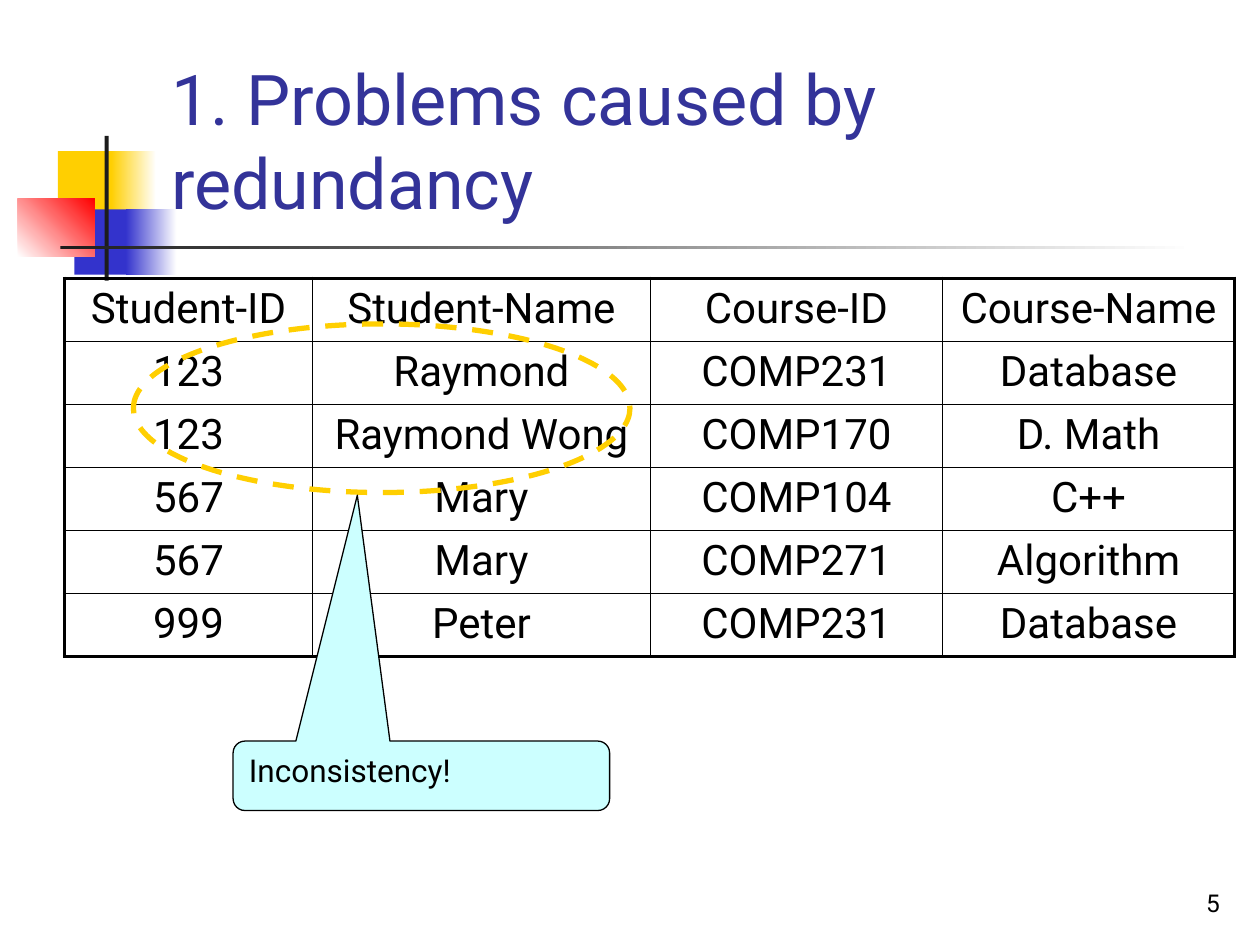
from lxml import etree
from pptx import Presentation
from pptx.dml.color import RGBColor
from pptx.enum.dml import MSO_LINE
from pptx.enum.shapes import MSO_SHAPE
from pptx.enum.text import MSO_ANCHOR, PP_ALIGN
from pptx.oxml.ns import qn
from pptx.util import Cm, Pt

RECT = MSO_SHAPE.RECTANGLE
ELLIPSE = MSO_SHAPE.OVAL
CALLOUT = MSO_SHAPE.ROUNDED_RECTANGULAR_CALLOUT
DASH = MSO_LINE.DASH
TOP, BOTTOM = MSO_ANCHOR.TOP, MSO_ANCHOR.BOTTOM
LEFT, CENTER, RIGHT = PP_ALIGN.LEFT, PP_ALIGN.CENTER, PP_ALIGN.RIGHT

FONT = "Roboto"
BLACK, WHITE, DARK = "000000", "FFFFFF", "1C1C1C"
YELLOW, BLUE, RED = "FFCF01", "3333CC", "FF0000"
TITLE_BLUE, PALE_CYAN = "333399", "CCFFFF"
THIN, THICK = 1, 2.25

DECORATIONS = [
    ((1.17, 3.05, 1.22, 1.32), [YELLOW], 0),
    ((2.24, 3.05, 0.91, 1.32), [YELLOW, WHITE], 0),
    ((1.5, 4.22, 1.17, 1.32), [BLUE], 0),
    ((2.54, 4.22, 1.02, 1.32), [BLUE, WHITE], 0),
    ((0.36, 4.01, 1.55, 1.17), [WHITE, RED], 45),
    ((2.11, 2.74, 0.08, 2.92), [DARK], 0),
    ((1.22, 4.95, 22.86, 0.08), [DARK, WHITE], 0),
]

COLUMN_WIDTHS = [5, 6.81, 5.89, 5.89]
ROW_HEIGHT = 1.25
ENROLMENTS = [
    ["Student-ID", "Student-Name", "Course-ID", "Course-Name"],
    ["123", "Raymond", "COMP231", "Database"],
    ["123", "Raymond Wong", "COMP170", "D. Math"],
    ["567", "Mary", "COMP104", "C++"],
    ["567", "Mary", "COMP271", "Algorithm"],
    ["999", "Peter", "COMP231", "Database"],
]


def rgb(color):
    return RGBColor.from_string(color)


def write(tf, text, size, color=BLACK, align=LEFT):
    p = tf.paragraphs[0]
    p.text = text
    p.alignment = align
    p.font.name = FONT
    p.font.size = Pt(size)
    p.font.color.rgb = rgb(color)


def add_text(s, box, text, size, color=BLACK, align=LEFT):
    tf = s.shapes.add_textbox(*map(Cm, box)).text_frame
    tf.word_wrap = True
    tf.vertical_anchor = BOTTOM
    write(tf, text, size, color, align)


def paint(fill, colors, angle):
    if not colors:
        fill.background()
    elif len(colors) == 1:
        fill.solid()
        fill.fore_color.rgb = rgb(colors[0])
    else:
        fill.gradient()
        fill.gradient_angle = angle
        for stop, color in zip(fill.gradient_stops, colors):
            stop.color.rgb = rgb(color)


def add_shape(s, kind, box, colors=(), angle=0, line=None, width=1):
    sp = s.shapes.add_shape(kind, *map(Cm, box))
    sp.shadow.inherit = False
    paint(sp.fill, colors, angle)
    if line:
        sp.line.color.rgb = rgb(line)
        sp.line.width = Pt(width)
    else:
        sp.line.fill.background()
    return sp


def set_border(cell, side, width):
    tc_pr = cell._tc.get_or_add_tcPr()
    ln = etree.SubElement(tc_pr, qn(f"a:ln{side}"), w=str(Pt(width)))
    fill = etree.SubElement(ln, qn("a:solidFill"))
    etree.SubElement(fill, qn("a:srgbClr"), val=BLACK)


def add_table(s, left, top, rows):
    n_rows, n_cols = len(rows), len(COLUMN_WIDTHS)
    size = (sum(COLUMN_WIDTHS), ROW_HEIGHT * n_rows)
    table = s.shapes.add_table(n_rows, n_cols, *map(Cm, (left, top, *size))).table
    table.first_row = table.horz_banding = False
    for column, width in zip(table.columns, COLUMN_WIDTHS):
        column.width = Cm(width)
    for i, row in enumerate(rows):
        for j, text in enumerate(row):
            cell = table.cell(i, j)
            outer = {"L": j == 0, "R": j == n_cols - 1,
                     "T": i == 0, "B": i == n_rows - 1}
            for side, is_outer in outer.items():
                set_border(cell, side, THICK if is_outer else THIN)
            cell.fill.background()
            write(cell.text_frame, text, 24, align=CENTER)


def add_callout(s, box, text, adjustments):
    sp = add_shape(s, CALLOUT, box, [PALE_CYAN], line=BLACK, width=0.75)
    for i, value in enumerate(adjustments):
        sp.adjustments[i] = value
    sp.text_frame.word_wrap = True
    sp.text_frame.vertical_anchor = TOP
    write(sp.text_frame, text, 18)


def main():
    prs = Presentation()
    prs.slide_width, prs.slide_height = Cm(25.4), Cm(19.05)
    s = prs.slides.add_slide(prs.slide_layouts[6])
    for box, colors, angle in DECORATIONS:
        add_shape(s, RECT, box, colors, angle)
    add_text(s, (19.56, 17.35, 5.28, 1.27), "5", 14, align=RIGHT)
    add_text(s, (3.2, 0.58, 21.64, 4.06), "1. Problems caused by redundancy",
             40, TITLE_BLUE)
    add_table(s, 1.3, 5.61, ENROLMENTS)
    highlight = add_shape(s, ELLIPSE, (2.69, 6.53, 10.01, 3.4), line=YELLOW, width=3)
    highlight.line.dash_style = DASH
    add_callout(s, (4.7, 14.94, 7.59, 1.4), "Inconsistency!",
                (-0.17, -4.04, 0.17))
    prs.save("out.pptx")


if __name__ == "__main__":
    main()
